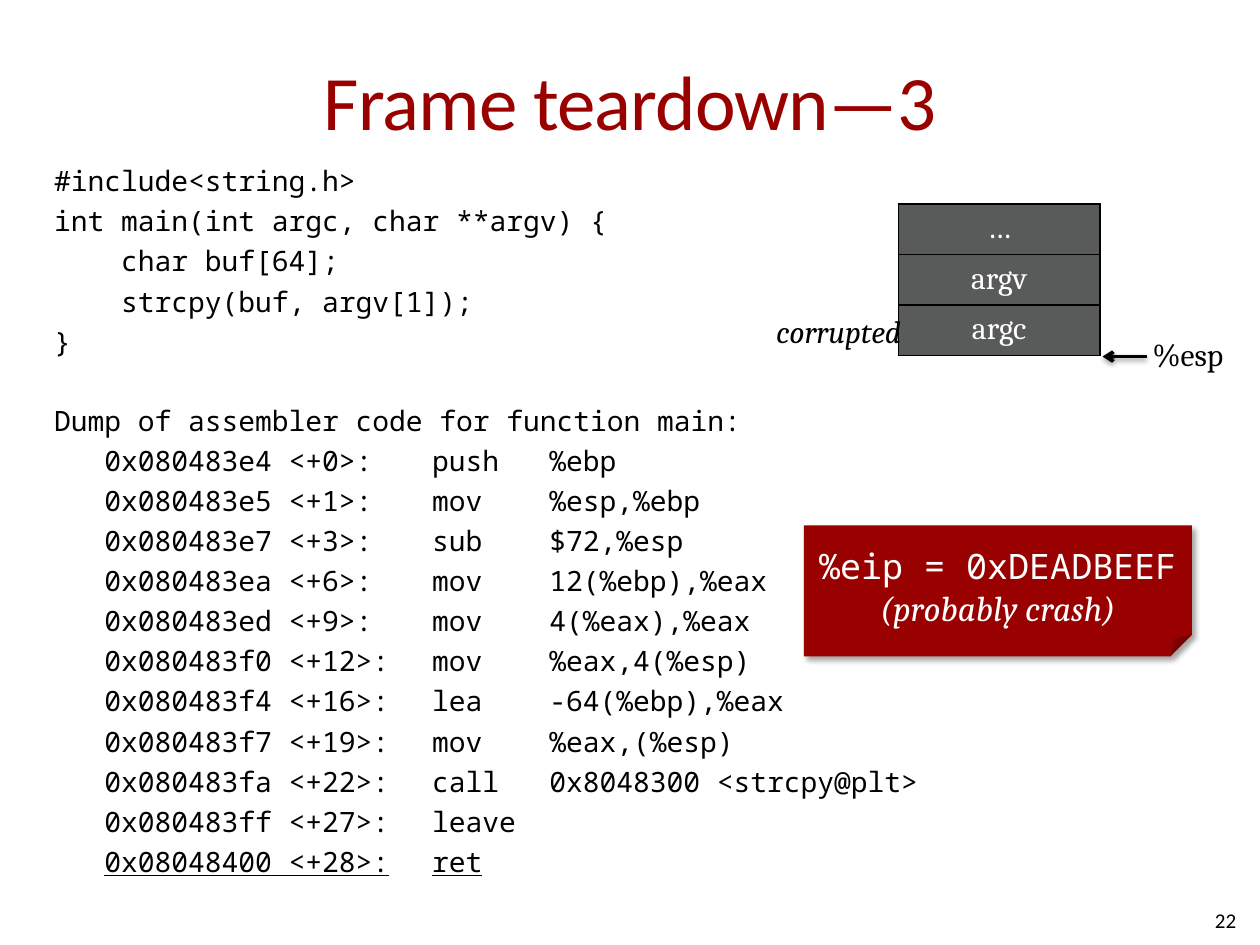
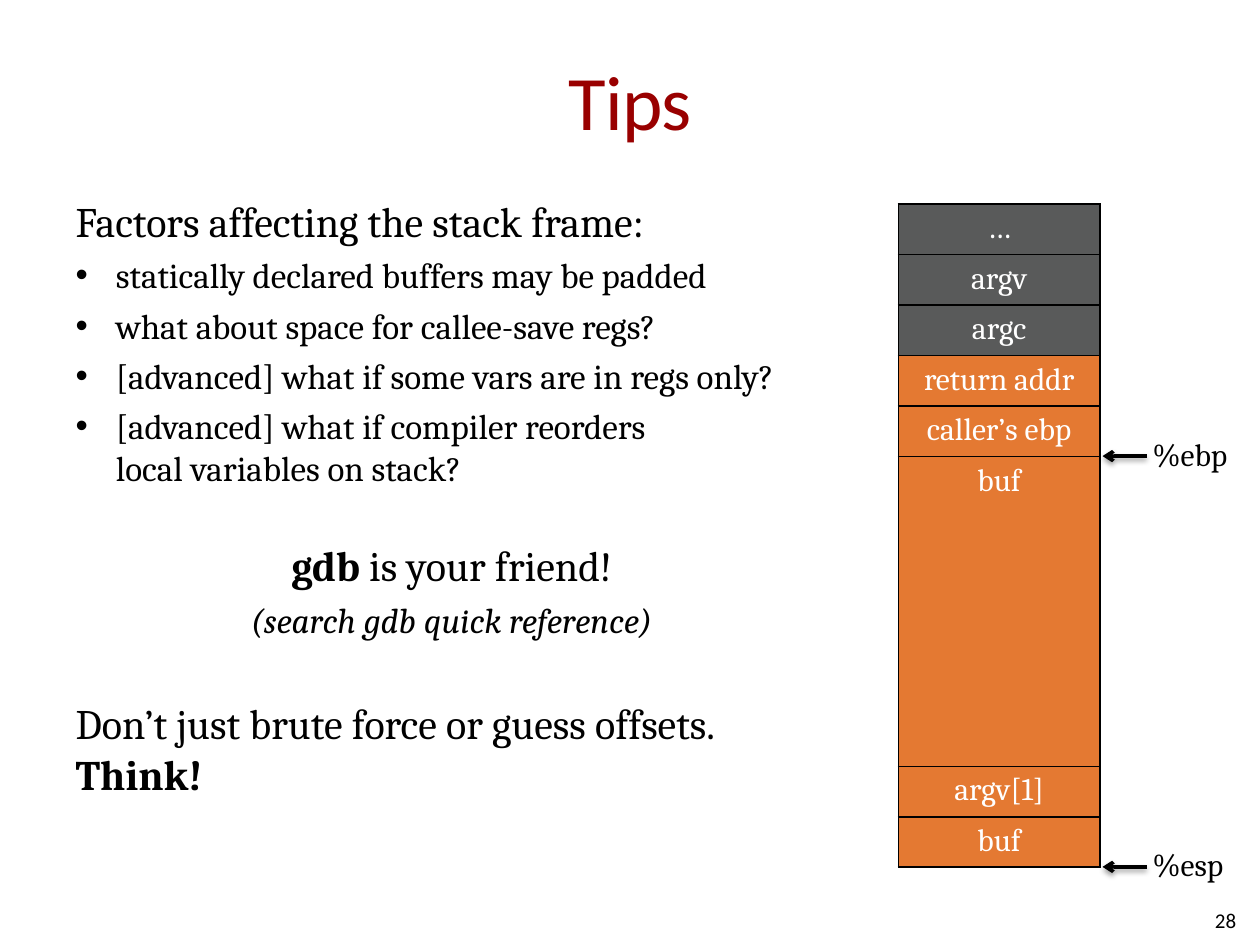
import pptx
import pptx.util
import pptx.dml.color
import pptx.enum.shapes
import pptx.enum.text
import pptx.oxml
import pptx.oxml.ns
import lxml.etree

Inches = pptx.util.Inches
Pt = pptx.util.Pt
RGBColor = pptx.dml.color.RGBColor
ALIGN = pptx.enum.text.PP_ALIGN
ANCHOR = pptx.enum.text.MSO_ANCHOR
FIT = pptx.enum.text.MSO_AUTO_SIZE
SHAPE = pptx.enum.shapes.MSO_SHAPE
LINE = pptx.enum.shapes.MSO_CONNECTOR
qn = pptx.oxml.ns.qn

RED = RGBColor(0x99, 0x00, 0x00)
GRAY = RGBColor(0x59, 0x5A, 0x5A)
ORANGE = RGBColor(0xE4, 0x79, 0x32)
BLACK = RGBColor(0, 0, 0)
WHITE = RGBColor(255, 255, 255)

SANS, SERIF, MONO = "Calibri", "Cambria", "Noto Sans Mono"
ROW = 0.4

SOURCE = [
    "#include<string.h>",
    "int main(int argc, char **argv) {",
    "    char buf[64];",
    "    strcpy(buf, argv[1]);",
    "}",
]
HEADING = "Dump of assembler code for function main:"
DUMP = [
    "   0x080483e4 <+0>:\tpush   %ebp",
    "   0x080483e5 <+1>:\tmov    %esp,%ebp",
    "   0x080483e7 <+3>:\tsub    $72,%esp",
    "   0x080483ea <+6>:\tmov    12(%ebp),%eax",
    "   0x080483ed <+9>:\tmov    4(%eax),%eax",
    "   0x080483f0 <+12>:\tmov    %eax,4(%esp)",
    "   0x080483f4 <+16>:\tlea    -64(%ebp),%eax",
    "   0x080483f7 <+19>:\tmov    %eax,(%esp)",
    "   0x080483fa <+22>:\tcall   0x8048300 <strcpy@plt>",
    "   0x080483ff <+27>:\tleave",
]
LAST = "0x08048400 <+28>:\tret"
CALLER = [("…", GRAY, ROW), ("argv", GRAY, ROW), ("argc", GRAY, ROW)]
FRAME = [
    ("return addr", ORANGE, ROW),
    ("caller’s ebp", ORANGE, ROW),
    ("buf", ORANGE, 2.46),
    ("argv[1]", ORANGE, ROW),
    ("buf", ORANGE, ROW),
]
FACTS = [
    "statically declared buffers may be padded",
    "what about space for callee-save regs?",
    "[advanced] what if some vars are in regs only?",
    "[advanced] what if compiler reorders\nlocal variables on stack?",
]


def write(para, text, size=18, face=SERIF, color=BLACK, bold=False,
          slant=False, under=False, track=None):
    for i, part in enumerate(text.split("\n")):
        if i:
            para.add_line_break()
        if not part:
            continue
        run = para.add_run()
        run.text = part
        font = run.font
        font.size, font.name = Pt(size), face
        font.bold, font.italic, font.underline = bold, slant, under
        font.color.rgb = color
        if track is not None:
            run._r.get_or_add_rPr().set("spc", str(track))


def add(parent, tag, **attrs):
    node = lxml.etree.SubElement(parent, qn(tag))
    for key, value in attrs.items():
        node.set(key, str(value))
    return node


class Deck:
    def __init__(self):
        self.show = pptx.Presentation()
        self.show.slide_width = Inches(10)
        self.show.slide_height = Inches(7.5)
        self.slide = None

    def place(self, shape, x, y, w, h):
        shape.left, shape.top = Inches(x), Inches(y)
        shape.width, shape.height = Inches(w), Inches(h)
        return shape.text_frame

    def start(self, title, spot):
        self.slide = self.show.slides.add_slide(self.show.slide_layouts[1])
        frame = self.place(self.slide.shapes.title, 0.5, 0.17, 9, 1.25)
        frame.margin_left = frame.margin_right = 0
        frame.vertical_anchor = ANCHOR.MIDDLE
        frame.auto_size = FIT.NONE
        para = frame.paragraphs[0]
        para.alignment = ALIGN.CENTER
        write(para, title, size=44, face=SANS, color=RED, track=-50)
        body = self.place(self.slide.placeholders[1], *spot)
        body.auto_size = FIT.NONE
        body.word_wrap = True
        return body

    def item(self, frame, gap=0, align=ALIGN.LEFT, dot=False, tab=None):
        para = frame.paragraphs[0]
        if para.runs:
            para = frame.add_paragraph()
        props = para._p.get_or_add_pPr()
        props.set("marL", str(Inches(0.32) if dot else 0))
        props.set("indent", str(Inches(-0.32) if dot else 0))
        if dot:
            add(props, "a:buFont", typeface="Arial")
            add(props, "a:buChar", char="•")
        else:
            add(props, "a:buNone")
        if tab:
            add(add(props, "a:tabLst"), "a:tab", pos=Inches(tab), algn="l")
        para.space_before = Pt(gap)
        para.alignment = align
        return para

    def label(self, text, x, y, w, align=ALIGN.LEFT, wrap=False, **style):
        box = self.slide.shapes.add_textbox(
            Inches(x), Inches(y), Inches(w), Inches(0.4))
        frame = box.text_frame
        frame.word_wrap = wrap
        para = frame.paragraphs[0]
        para.alignment = align
        write(para, text, **style)
        return frame

    def number(self, text):
        frame = self.label(text, 7.58, 7.1, 2.33, align=ALIGN.RIGHT,
                           wrap=True, size=12, face=SANS)
        frame.vertical_anchor = ANCHOR.MIDDLE

    def shadow(self, shape, alpha, dist, angle):
        props = shape._element.spPr
        for old in props.findall(qn("a:effectLst")):
            props.remove(old)
        cast = add(add(props, "a:effectLst"), "a:outerShdw",
                   blurRad=Pt(3.1), dist=Pt(dist), dir=angle * 60000,
                   algn="tl", rotWithShape=0)
        tint = add(cast, "a:srgbClr", val=BLACK)
        add(tint, "a:alpha", val=alpha * 1000)

    def pointer(self, text, y, w=0.81):
        self.label(text, 9.05, y - 0.22, w)
        line = self.slide.shapes.add_connector(
            LINE.STRAIGHT, Inches(9.1), Inches(y), Inches(8.75), Inches(y))
        line.line.color.rgb = BLACK
        line.line.width = Pt(2)
        add(line.line._get_or_add_ln(), "a:tailEnd", type="arrow")
        self.shadow(line, 38, 1.6, 90)

    def stack(self, rows):
        total = sum(high for _, _, high in rows)
        table = self.slide.shapes.add_table(
            len(rows), 1, Inches(7.13), Inches(1.62),
            Inches(1.6), Inches(total)).table
        table.first_row = table.horz_banding = False
        for i, (text, color, high) in enumerate(rows):
            table.rows[i].height = Inches(high)
            cell = table.cell(i, 0)
            cell.fill.solid()
            cell.fill.fore_color.rgb = color
            para = cell.text_frame.paragraphs[0]
            para.alignment = ALIGN.CENTER
            write(para, text, color=WHITE)
            self.border(cell)

    def border(self, cell):
        props = cell._tc.get_or_add_tcPr()
        for i, side in enumerate("LRTB"):
            edge = add(props, "a:ln" + side, w=Pt(1))
            add(add(edge, "a:solidFill"), "a:srgbClr", val=BLACK)
            props.insert(i, edge)

    def note(self, x, y, w, h):
        shape = self.slide.shapes.add_shape(
            SHAPE.FOLDED_CORNER, Inches(x), Inches(y), Inches(w), Inches(h))
        shape.fill.solid()
        shape.fill.fore_color.rgb = RED
        shape.line.fill.background()
        self.shadow(shape, 35, 2.8, 45)
        frame = shape.text_frame
        frame.margin_top = Inches(0.15)
        frame.vertical_anchor = ANCHOR.TOP
        frame.word_wrap = True
        return frame


def teardown(deck):
    body = deck.start("Frame teardown—3", (0.33, 1.25, 7.25, 5.92))
    code = dict(size=16, face=MONO)
    gap = 0
    for text in SOURCE + [HEADING] + DUMP:
        para = deck.item(body, gap=26.1 if text == HEADING else gap, tab=3)
        write(para, text, **code)
        gap = 3.7
    para = deck.item(body, gap=gap, tab=3)
    write(para, "   ", **code)
    write(para, LAST, under=True, **code)

    deck.number("22")
    deck.stack(CALLER)
    deck.pointer("%esp", 2.83)
    deck.label("corrupted", 5.94, 2.43, 1.31, align=ALIGN.RIGHT, slant=True)
    note = deck.note(6.38, 4.17, 3.08, 1.04)
    write(deck.item(note, align=ALIGN.CENTER), "%eip = 0xDEADBEEF",
          size=20, face=MONO, color=WHITE)
    write(deck.item(note, align=ALIGN.CENTER), "(probably crash)",
          size=20, color=WHITE, slant=True)


def tips(deck):
    body = deck.start("Tips", (0.5, 1.5, 6.17, 5.2))
    write(deck.item(body), "Factors affecting the stack frame:", size=24)
    for fact in FACTS:
        write(deck.item(body, gap=4.7, dot=True), fact, size=20)
    para = deck.item(body, gap=29, align=ALIGN.CENTER)
    write(para, "gdb", size=24, bold=True)
    write(para, " is your friend!", size=24)
    write(deck.item(body, gap=4.7, align=ALIGN.CENTER),
          "(search gdb quick reference)", size=20, slant=True)
    para = deck.item(body, gap=33)
    write(para, "Don’t just brute force or guess offsets.\n", size=24)
    write(para, "Think!", size=24, bold=True)

    deck.pointer("%ebp", 3.62, w=0.83)
    deck.pointer("%esp", 6.88)
    deck.number("28")
    deck.stack(CALLER + FRAME)


def main():
    deck = Deck()
    teardown(deck)
    tips(deck)
    deck.show.save("out.pptx")


if __name__ == "__main__":
    main()
